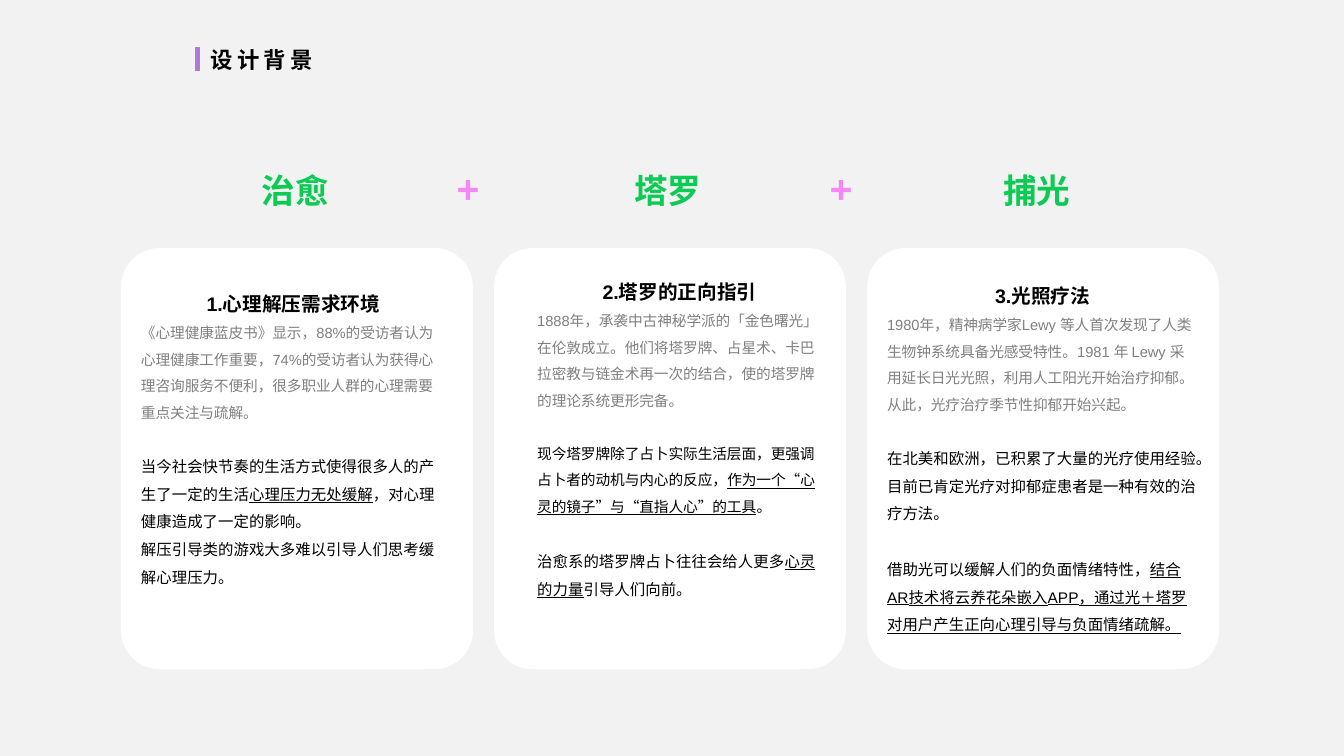
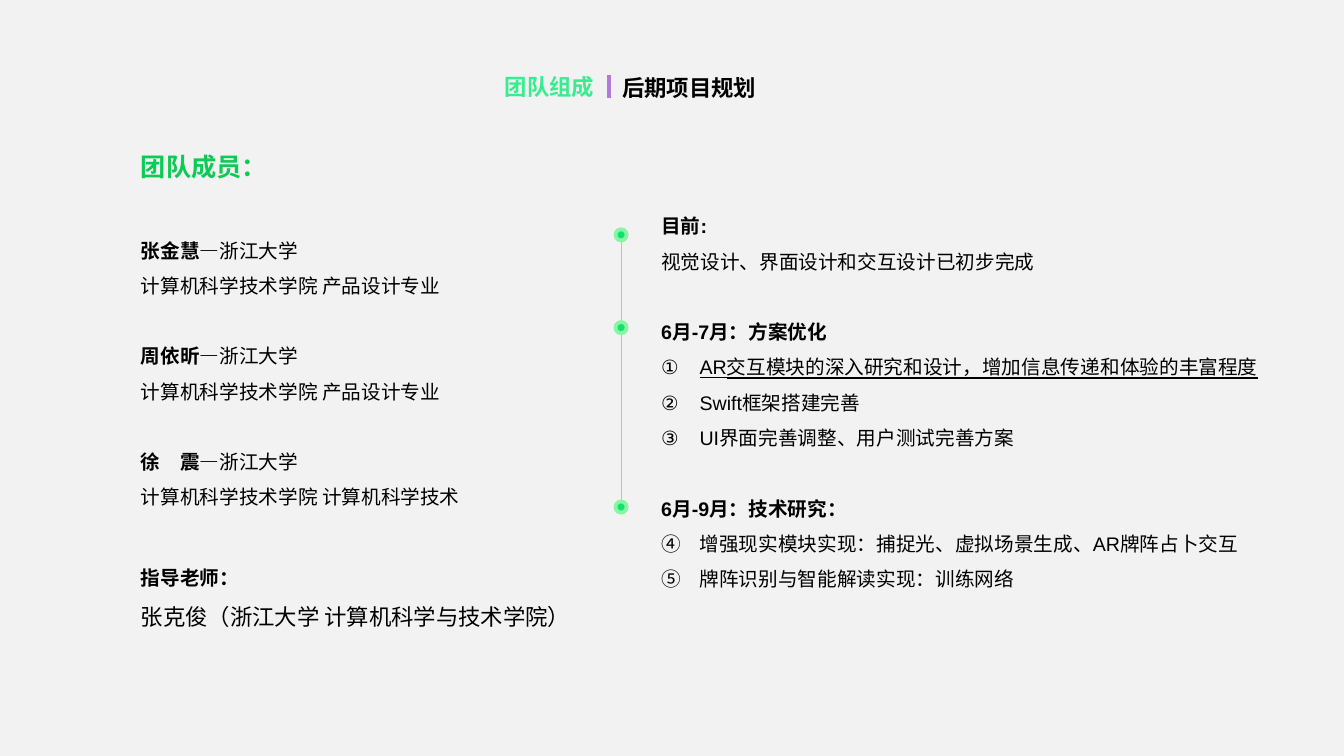
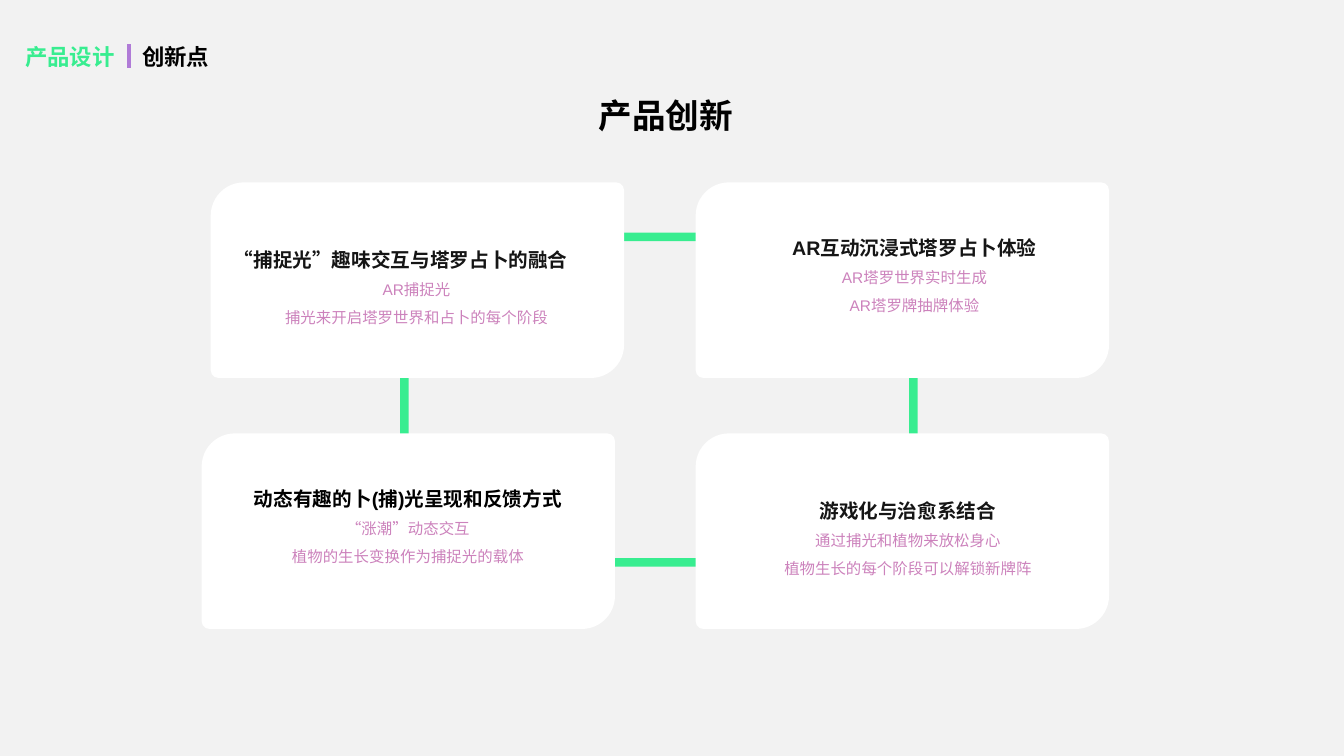
"""Build three slides: design background, team and plan, product innovation."""
from dataclasses import dataclass

from lxml import etree
from pptx import Presentation
from pptx.dml.color import RGBColor
from pptx.enum import shapes, text
from pptx.oxml import ns
from pptx.util import Inches, Pt

COLORS = {
    "page": "F2F2F2", "card": "FFFFFF", "ink": "000000", "soft_ink": "151515",
    "grey": "808080", "green": "0BCB54", "mint": "38ED90", "violet": "B07BD7",
    "pink": "F588F8", "mauve": "CC82BC", "halo": "86F6A3", "core": "14DE74",
    "rail": "BFBFBF",
}
LATIN, CJK = "Arial", "Noto Sans CJK SC"
TIGHT, LOOSE = 1.25, 1.8
SHAPE, ALIGN = shapes.MSO_SHAPE, text.PP_ALIGN


@dataclass
class Para:
    """A paragraph: spans are (text, flags), with b for bold and u for underline."""
    spans: list
    size: float
    color: str = "ink"
    centred: bool = False
    gap: float = 0
    leading: float = LOOSE
    start: int = 0
    tracking: int = 0


def rgb(name):
    """Return a named colour."""
    return RGBColor.from_string(COLORS[name])


def add_span(para, content, flags, style):
    """Add one formatted run."""
    span = para.add_run()
    span.text = content
    font = span.font
    font.name, font.size = LATIN, Pt(style.size)
    font.bold, font.underline = "b" in flags, "u" in flags
    font.color.rgb = rgb(style.color)
    properties = span._r.get_or_add_rPr()
    properties.find(ns.qn("a:latin")).addnext(
        properties.makeelement(ns.qn("a:ea"), {"typeface": CJK}))
    if style.tracking:
        properties.set("spc", str(style.tracking * 100))


def add_number(para, start):
    """Give a paragraph a circled number and a hanging indent."""
    properties = para._p.get_or_add_pPr()
    properties.set("marL", str(Inches(0.38)))
    properties.set("indent", str(-Inches(0.38)))
    etree.SubElement(properties, ns.qn("a:buAutoNum"),
                     type="circleNumDbPlain", startAt=str(start))


def fill_text(box, paras):
    """Write paragraphs into a top-anchored, wrapping frame."""
    frame = box.text_frame
    frame.word_wrap = True
    frame.auto_size = text.MSO_AUTO_SIZE.NONE
    frame.vertical_anchor = text.MSO_ANCHOR.TOP
    for index, style in enumerate(paras):
        para = frame.add_paragraph() if index else frame.paragraphs[0]
        para.alignment = ALIGN.CENTER if style.centred else ALIGN.LEFT
        para.line_spacing = Pt(style.size * style.leading)
        para.space_before = Pt(style.gap * LOOSE)
        if style.start:
            add_number(para, style.start)
        for content, flags in style.spans:
            add_span(para, content, flags, style)


def add_text(page, left, top, width, height, paras):
    """Add a text box."""
    box = page.shapes.add_textbox(*map(Inches, (left, top, width, height)))
    fill_text(box, paras)


def add_label(page, left, top, width, height, content, size, color):
    """Add a bold single-line label."""
    add_text(page, left, top, width, height,
             [Para([(content, "b")], size, color, leading=TIGHT)])


def add_shape(page, kind, left, top, width, height, fill, rounding=()):
    """Add a flat shape without outline."""
    shape = page.shapes.add_shape(kind, *map(Inches, (left, top, width, height)))
    shape.shadow.inherit = False
    shape.line.fill.background()
    if fill:
        shape.fill.solid()
        shape.fill.fore_color.rgb = rgb(fill)
    else:
        shape.fill.background()
    for index, amount in enumerate(rounding):
        shape.adjustments[index] = amount
    return shape


def add_vertical(page, x, top, bottom, color, weight):
    """Add a vertical line."""
    line = page.shapes.add_connector(
        shapes.MSO_CONNECTOR.STRAIGHT, *map(Inches, (x, top, x, bottom)))
    line.line.color.rgb = rgb(color)
    line.line.width = Pt(weight)
    etree.SubElement(line._element.spPr, ns.qn("a:effectLst"))


def add_page(deck, title, left, top, section=None, tracking=0):
    """Add a slide with its title, violet bar and optional section name."""
    page = deck.slides.add_slide(deck.slide_layouts[5])
    box = page.shapes.title
    box.left, box.top, box.width, box.height = map(Inches, (left, top, 2.38, 0.37))
    fill_text(box, [Para([(title, "b")], 16, leading=TIGHT, tracking=tracking)])
    add_vertical(page, left - 0.03, top + 0.07, top + 0.3, "violet", 3)
    if section:
        add_label(page, left - 1.16, top, 1.25, 0.37, section, 16, "mint")
    return page


def heading(content, color="ink", centred=True):
    """Return a bold card heading."""
    return Para([(content, "b")], 14, color, centred)


def build_background(deck):
    """Build the design background slide."""
    page = add_page(deck, "设计背景", 1.99, 0.4, tracking=3)
    for index in range(3):
        add_shape(page, SHAPE.ROUNDED_RECTANGLE, 1.2 + 3.7 * index, 2.46,
                  3.49, 4.18, "card", [0.11])
    for left, word in ((2.5, "治愈"), (6.19, "塔罗"), (9.85, "捕光")):
        add_label(page, left, 1.62, 1.61, 0.5, word, 24, "green")
    for left in (4.43, 8.13):
        add_label(page, left, 1.56, 0.64, 0.57, "+", 28, "pink")

    add_text(page, 1.3, 2.73, 3.22, 3.14, [
        heading("1.心理解压需求环境"),
        Para([("《心理健康蓝皮书》显示，88%的受访者认为心理健康工作重要，74%的受访者"
               "认为获得心理咨询服务不便利，很多职业人群的心理需要重点关注与疏解。", "")],
             10.5, "grey"),
        Para([("当今社会快节奏的生活方式使得很多人的产生了一定的生活", ""),
              ("心理压力无处缓解", "u"),
              ("，对心理健康造成了一定的影响。", "")], 11, gap=10.5),
        Para([("解压引导类的游戏大多难以引导人们思考缓解心理压力。", "")], 11),
    ])
    add_text(page, 5.23, 2.61, 3.02, 3.37, [
        heading("2.塔罗的正向指引"),
        Para([("1888年，承袭中古神秘学派的「金色曙光」在伦敦成立。他们将塔罗牌、占星术、"
               "卡巴拉密教与链金术再一次的结合，使的塔罗牌的理论系统更形完备。", "")],
             10.5, "grey"),
        Para([("现今塔罗牌除了占卜实际生活层面，更强调占卜者的动机与内心的反应，", ""),
              ("作为一个“心灵的镜子”与“直指人心”的工具", "u"),
              ("。", "")], 10.5, gap=10.5),
        Para([("治愈系的塔罗牌占卜往往会给人更多", ""), ("心灵的力量", "u"),
              ("引导人们向前。", "")], 11, gap=11),
    ])
    add_text(page, 8.7, 2.65, 3.28, 3.99, [
        heading("3.光照疗法"),
        Para([("1980年，精神病学家Lewy 等人首次发现了人类生物钟系统具备光感受特性。"
               "1981 年 Lewy 采用延长日光光照，利用人工阳光开始治疗抑郁。"
               "从此，光疗治疗季节性抑郁开始兴起。", "")], 10.5, "grey"),
        Para([("在北美和欧洲，已积累了大量的光疗使用经验。"
               "目前已肯定光疗对抑郁症患者是一种有效的治疗方法。", "")], 11, gap=10.5),
        Para([("借助光可以缓解人们的负面情绪特性，", ""),
              ("结合AR技术将云养花朵嵌入APP，通过光＋塔罗对用户产生正向心理引导"
               "与负面情绪疏解。", "u")], 11, gap=11),
    ])


def member(name, major, gap):
    """Return the two lines on a team member."""
    return [Para([(name + "—", "b"), ("浙江大学", "")], 14, gap=gap),
            Para([("计算机科学技术学院 " + major, "")], 14)]


def add_timeline(page, x, stops):
    """Add a rail with a two-tone dot at each stop."""
    add_vertical(page, x, stops[0], stops[-1], "rail", 0.75)
    for y in stops:
        for size, color in ((0.15, "halo"), (0.07, "core")):
            add_shape(page, SHAPE.OVAL, x - size / 2, y - size / 2, size, size, color)


def build_team(deck):
    """Build the team and plan slide."""
    page = add_page(deck, "后期项目规划", 6.07, 0.67, "团队组成")
    add_text(page, 1.3, 1.3, 4.56, 5.5, [
        Para([("团队成员：", "b")], 18, "green"),
        *member("张金慧", "产品设计专业", 18),
        *member("周依昕", "产品设计专业", 14),
        *member("徐　震", "计算机科学技术", 14),
        Para([("指导老师：", "b")], 14, gap=18),
        Para([("张克俊（浙江大学 计算机科学与技术学院）", "")], 16),
    ])
    add_timeline(page, 6.16, (2.33, 3.25, 5.03))
    add_text(page, 6.46, 1.96, 6.22, 4.3, [
        Para([("目前:", "b")], 14),
        Para([("视觉设计、界面设计和交互设计已初步完成", "")], 14),
        Para([("6月-7月：方案优化", "b")], 14, gap=14),
        Para([("AR交互模块的深入研究和设计，增加信息传递和体验的丰富程度", "u")], 14, start=1),
        Para([("Swift框架搭建完善", "")], 14, start=1),
        Para([("UI界面完善调整、用户测试完善方案", "")], 14, start=1),
        Para([("6月-9月：技术研究：", "b")], 14, gap=14),
        Para([("增强现实模块实现：捕捉光、虚拟场景生成、AR牌阵占卜交互", "")], 14, start=4),
        Para([("牌阵识别与智能解读实现：训练网络", "")], 14, start=4),
    ])


def build_innovation(deck):
    """Build the product innovation slide."""
    page = add_page(deck, "创新点", 1.31, 0.37, "产品设计")
    add_label(page, 5.84, 0.88, 2.36, 0.5, "产品创新", 24, "ink")
    frame = add_shape(page, SHAPE.ROUNDED_RECTANGLE, 4.01, 2.35, 5.05, 3.23, None)
    frame.line.color.rgb = rgb("mint")
    frame.line.width = Pt(6)
    for left, top in ((2.09, 1.81), (6.9, 1.81), (2, 4.3), (6.9, 4.3)):
        add_shape(page, SHAPE.ROUND_2_DIAG_RECTANGLE, left, top, 4.1, 1.94,
                  "card", [0.17, 0.04])
    ideas = (
        (2.22, 2.29, 3.82, heading("“捕捉光”趣味交互与塔罗占卜的融合", "soft_ink", False),
         ("AR捕捉光", "捕光来开启塔罗世界和占卜的每个阶段")),
        (7.02, 2.17, 4.1, heading("AR互动沉浸式塔罗占卜体验", "soft_ink"),
         ("AR塔罗世界实时生成", "AR塔罗牌抽牌体验")),
        (2.19, 4.66, 3.71, heading("动态有趣的卜(捕)光呈现和反馈方式"),
         ("“涨潮”动态交互", "植物的生长变换作为捕捉光的载体")),
        (7.17, 4.78, 3.67, heading("游戏化与治愈系结合", "soft_ink"),
         ("通过捕光和植物来放松身心", "植物生长的每个阶段可以解锁新牌阵")),
    )
    for left, top, width, title, details in ideas:
        add_text(page, left, top, width, 0.98, [
            title, *(Para([(line, "")], 11, "mauve", True) for line in details)])


def main():
    """Build and save the deck."""
    deck = Presentation()
    deck.slide_width, deck.slide_height = Inches(13.33), Inches(7.5)
    backdrop = deck.slide_master.background.fill
    backdrop.solid()
    backdrop.fore_color.rgb = rgb("page")
    build_background(deck)
    build_team(deck)
    build_innovation(deck)
    deck.save("out.pptx")


if __name__ == "__main__":
    main()
